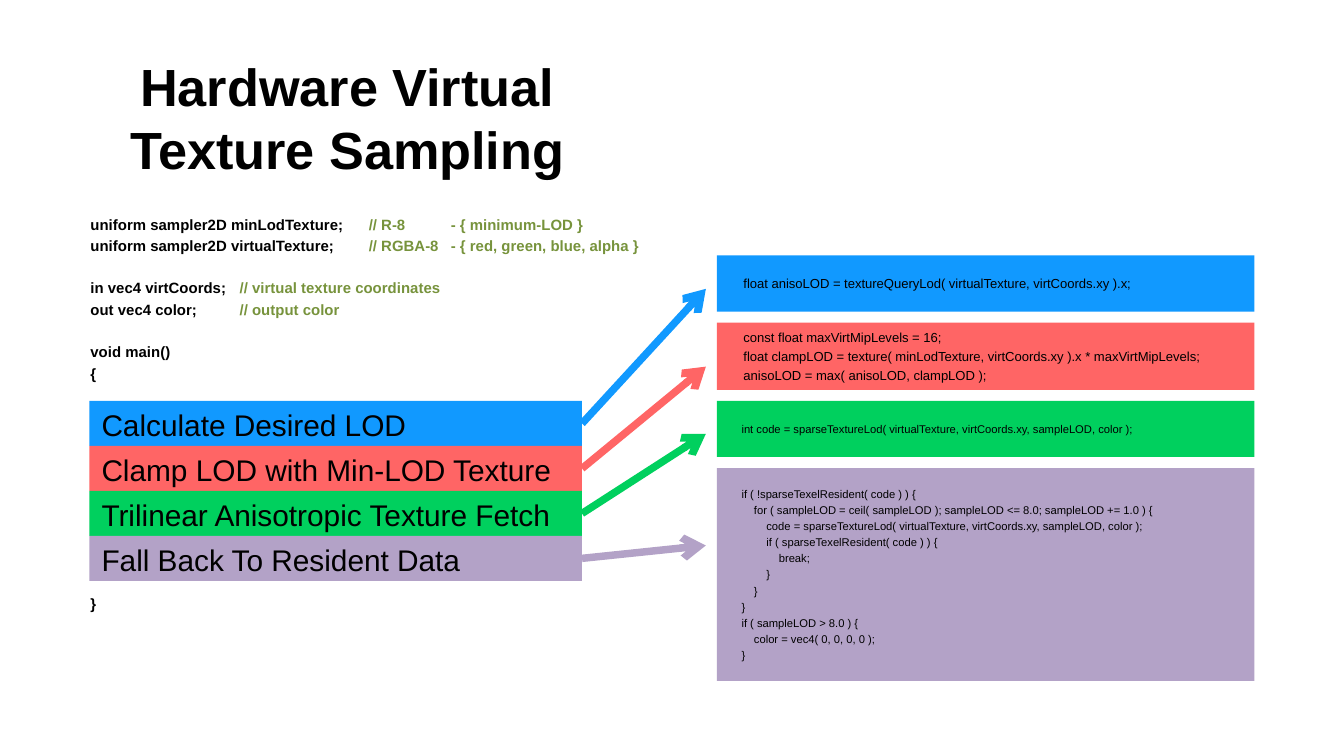
from pptx import Presentation
from pptx.dml.color import RGBColor as Rgb
from pptx.enum.shapes import MSO_CONNECTOR as Line, MSO_SHAPE as Kind
from pptx.enum.text import MSO_ANCHOR as Anchor, MSO_AUTO_SIZE as Fit, PP_ALIGN as Align
from pptx.oxml.ns import qn
from pptx.util import Cm, Pt
from lxml.etree import SubElement as Sub

BLACK = Rgb(0x00, 0x00, 0x00)
OLIVE = Rgb(0x77, 0x93, 0x3C)
BLUE = Rgb(0x11, 0x99, 0xFF)
RED = Rgb(0xFF, 0x65, 0x65)
GREEN = Rgb(0x00, 0xD0, 0x5E)
MAUVE = Rgb(0xB3, 0xA2, 0xC7)

LEFT, TOP, WIDE, ROW = 1.69, 7.58, 9.31, 0.85
SIDE, START, SPAN, GAP = 13.55, 4.83, 10.16, 0.21
TIP = 13.34

SHADER = [
    (0, (5.26, 6.81), "uniform sampler2D minLodTexture;", "\t// R-8\t- { minimum-LOD }"),
    (1.92, (5.26, 6.81), "uniform sampler2D virtualTexture;",
     "\t// RGBA-8\t- { red, green, blue, alpha }"),
    (13.1, (2.82,), "in vec4 virtCoords;", "\t// virtual texture coordinates"),
    (1.92, (2.82,), "out vec4 color;", "\t// output color"),
    (13.1, (), "void main()", ""),
    (1.92, (), "{", ""),
    (114, (), "}", ""),
]

QUERY = "    float anisoLOD = textureQueryLod( virtualTexture, virtCoords.xy ).x;"
CLAMP = """\
    const float maxVirtMipLevels = 16;
    float clampLOD = texture( minLodTexture, virtCoords.xy ).x * maxVirtMipLevels;
    anisoLOD = max( anisoLOD, clampLOD );"""
FETCH = "    int code = sparseTextureLod( virtualTexture, virtCoords.xy, sampleLOD, color );"
BACK = """\
    if ( !sparseTexelResident( code ) ) {
        for ( sampleLOD = ceil( sampleLOD ); sampleLOD <= 8.0; sampleLOD += 1.0 ) {
            code = sparseTextureLod( virtualTexture, virtCoords.xy, sampleLOD, color );
            if ( sparseTexelResident( code ) ) {
                break;
            }
        }
    }
    if ( sampleLOD > 8.0 ) {
        color = vec4( 0, 0, 0, 0 );
    }"""

STEPS = [
    ("Calculate Desired LOD", BLUE, QUERY, 7, 1.06, 5.46),
    ("Clamp LOD with Min-LOD Texture", RED, CLAMP, 7, 1.27, 6.93),
    ("Trilinear Anisotropic Texture Fetch", GREEN, FETCH, 6, 1.06, 8.2),
    ("Fall Back To Resident Data", MAUVE, BACK, 6, 4.02, 10.31),
]


class Deck:
    """Holds the text style and the current slide."""

    def __init__(self, slide, face="Arial"):
        self.slide = slide
        self.face = face

    def frame(self, shape, anchor):
        frame = shape.text_frame
        frame.word_wrap = True
        frame.auto_size = Fit.NONE
        frame.vertical_anchor = anchor
        frame.margin_left = frame.margin_right = Cm(0.23)
        frame.margin_top = frame.margin_bottom = Cm(0.11)
        return frame

    def para(self, frame, first, space=0, align=Align.LEFT):
        para = frame.paragraphs[0] if first else frame.add_paragraph()
        para.alignment = align
        para.space_before = Pt(0 if first else space)
        return para

    def run(self, para, text, size, color=BLACK, bold=False):
        run = para.add_run()
        run.text = text
        font = run.font
        font.name, font.size, font.bold = self.face, Pt(size), bold
        font.color.rgb = color

    def title(self, text, x, y, w, h):
        shape = self.slide.shapes.title
        shape.left, shape.top, shape.width, shape.height = Cm(x), Cm(y), Cm(w), Cm(h)
        frame = self.frame(shape, Anchor.MIDDLE)
        self.run(self.para(frame, True, align=Align.CENTER), text, 28, bold=True)

    def code(self, lines, x, y, w, h):
        box = self.slide.shapes.add_textbox(Cm(x), Cm(y), Cm(w), Cm(h))
        frame = self.frame(box, Anchor.TOP)
        for i, (space, tabs, text, note) in enumerate(lines):
            para = self.para(frame, i == 0, space)
            if tabs:
                stops = Sub(para._p.get_or_add_pPr(), qn("a:tabLst"))
                for tab in tabs:
                    Sub(stops, qn("a:tab"), pos=str(Cm(tab)), algn="l")
            self.run(para, text, 8, bold=True)
            if note:
                self.run(para, note, 8, OLIVE, True)

    def block(self, text, color, size, x, y, w, h, anchor=Anchor.MIDDLE):
        shape = self.slide.shapes.add_shape(Kind.RECTANGLE, Cm(x), Cm(y), Cm(w), Cm(h))
        shape.shadow.inherit = False
        shape.fill.solid()
        shape.fill.fore_color.rgb = color
        shape.line.fill.background()
        frame = self.frame(shape, anchor)
        for i, line in enumerate(text.split("\n")):
            self.run(self.para(frame, i == 0, size * 0.24), line, size)
        return shape

    def arrow(self, start, color, x, y):
        line = self.slide.shapes.add_connector(Line.STRAIGHT, 0, 0, Cm(x), Cm(y))
        line.begin_connect(start, 3)
        line.line.color.rgb = color
        line.line.width = Pt(4)
        Sub(line.line._get_or_add_ln(), qn("a:tailEnd"), type="arrow")
        Sub(line._element.spPr, qn("a:effectLst"))


def main():
    show = Presentation()
    show.slide_width, show.slide_height = Cm(25.4), Cm(14.29)
    deck = Deck(show.slides.add_slide(show.slide_layouts[5]))
    deck.title("Hardware Virtual Texture Sampling", 1.06, 0.91, 11, 2.62)
    deck.code(SHADER, 1.48, 3.96, 12.5, 7.82)
    y = START
    for i, (name, color, code, size, tall, end) in enumerate(STEPS):
        label = deck.block(name, color, 16, LEFT, TOP + i * ROW, WIDE, ROW, Anchor.TOP)
        deck.block(code, color, size, SIDE, y, SPAN, tall)
        deck.arrow(label, color, TIP, end)
        y += tall + GAP
    show.save("out.pptx")


if __name__ == "__main__":
    main()
